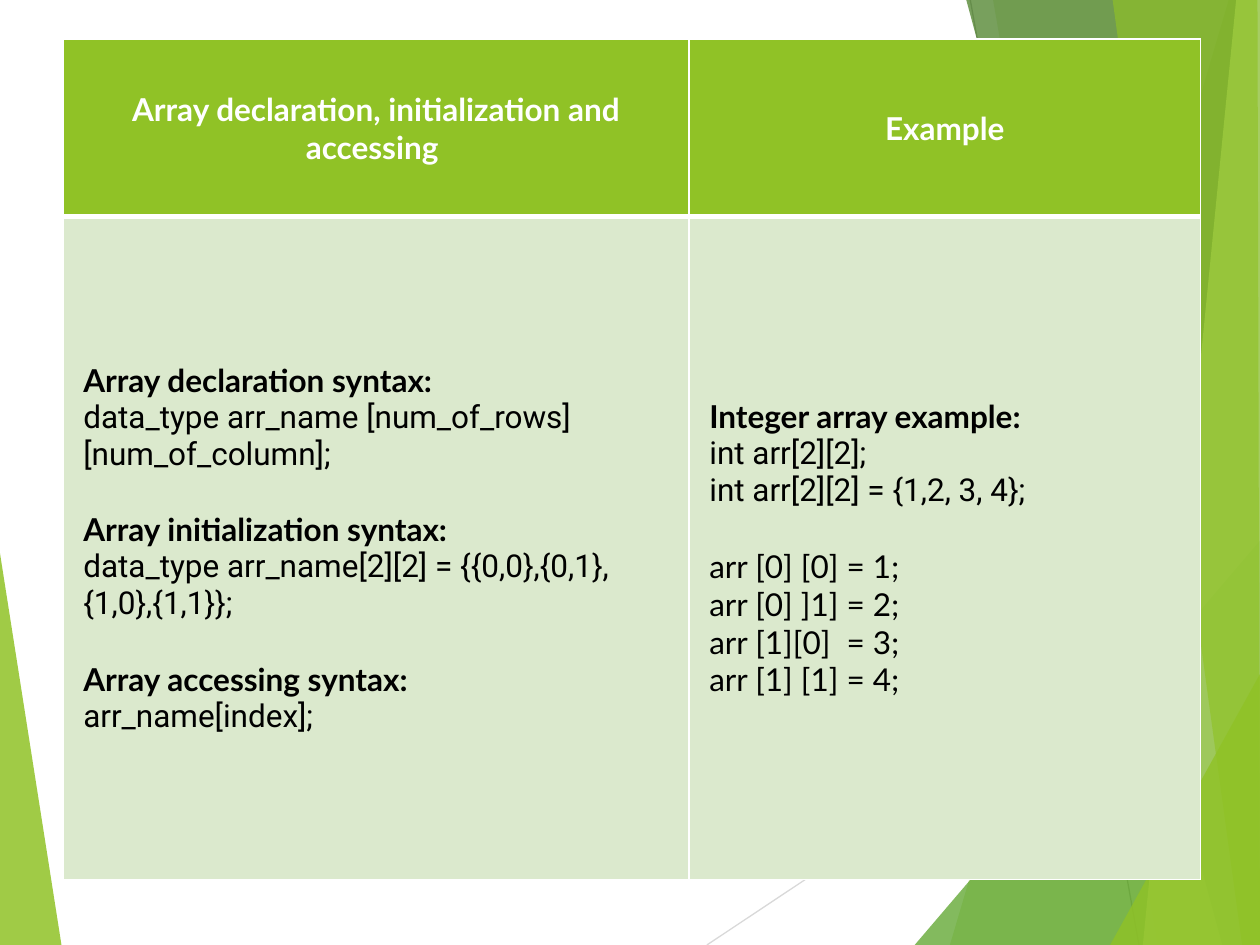
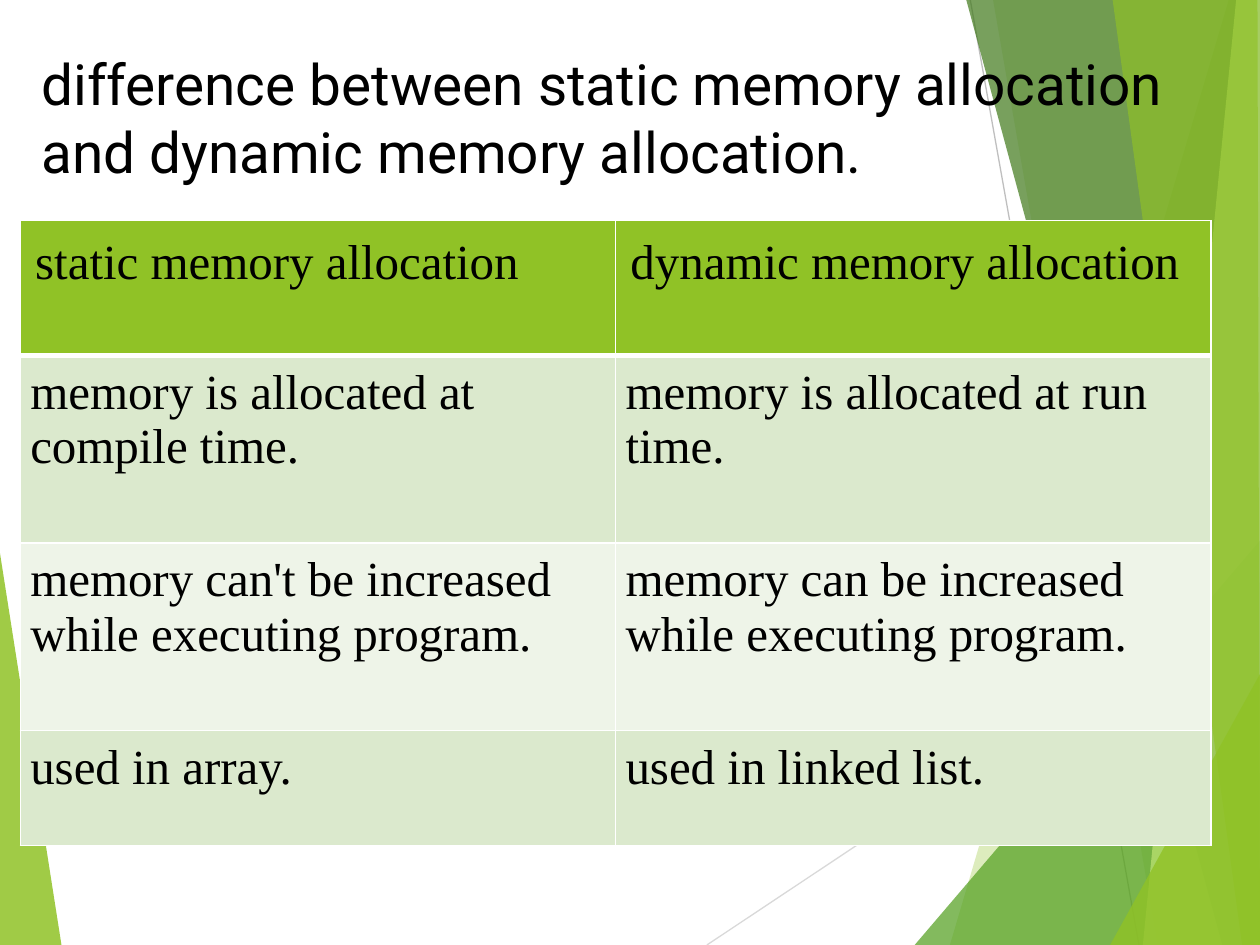
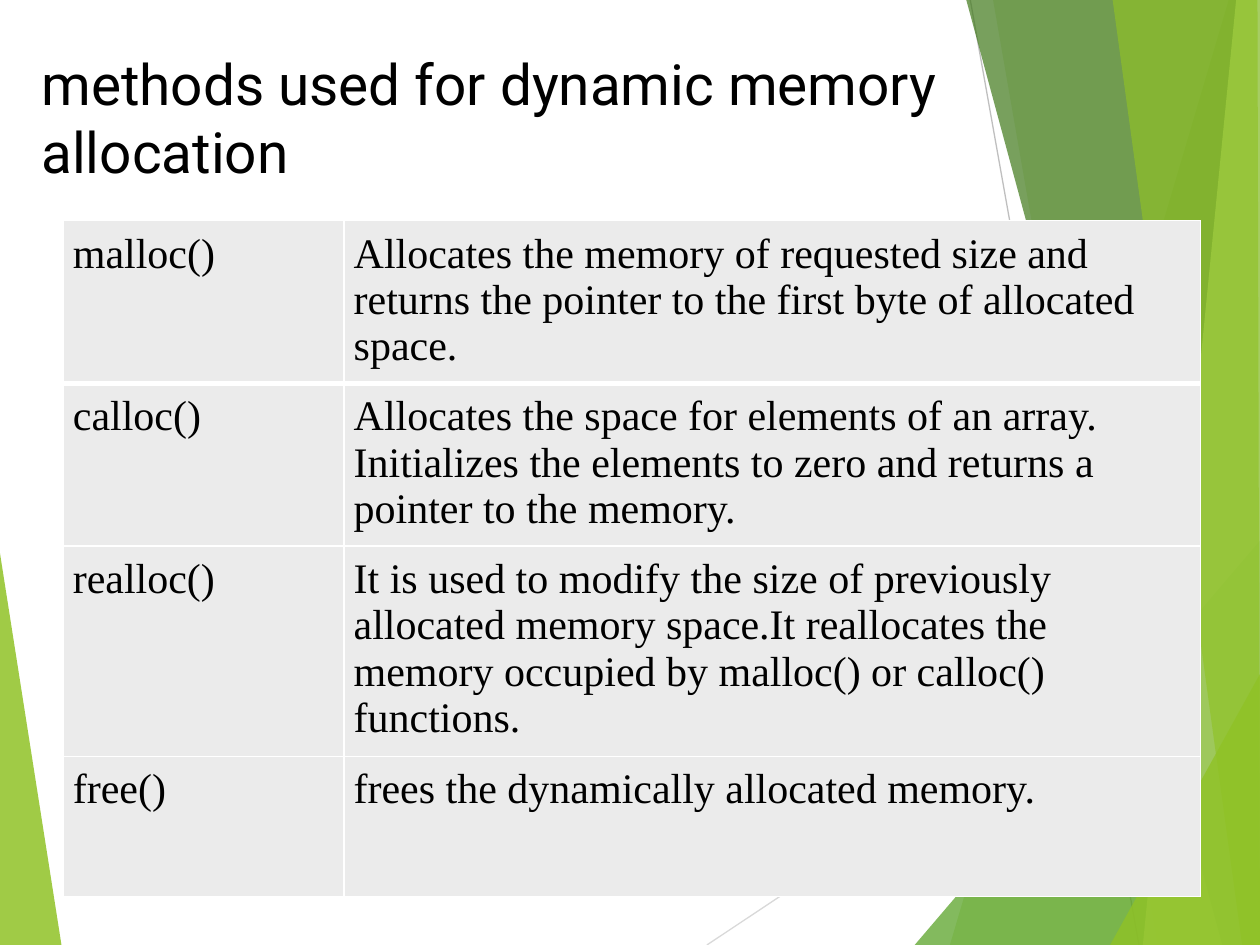
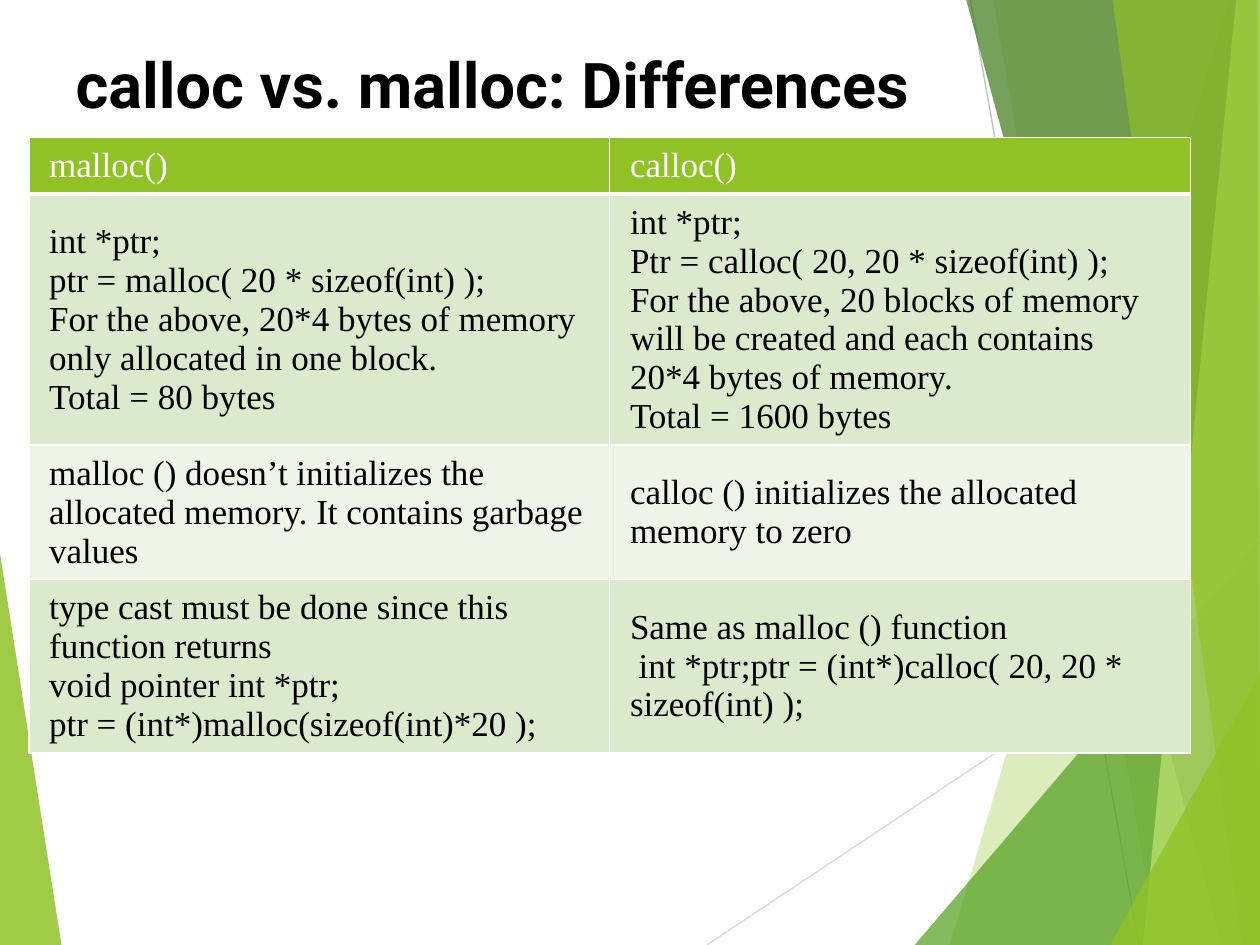
from dataclasses import dataclass
from typing import NamedTuple, Optional

from lxml.etree import SubElement
from pptx import Presentation
from pptx.dml.color import RGBColor
from pptx.enum.shapes import MSO_CONNECTOR as Conn
from pptx.enum.text import MSO_ANCHOR as Anchor, MSO_AUTO_SIZE as AutoSize, PP_ALIGN as Align
from pptx.oxml.ns import qn
from pptx.util import Cm, Pt

W, H = 25.4, 19.05
LATO, ROBOTO, TIMES = "Lato", "Roboto", "Times New Roman"
WHITE, BLACK, GREEN = "FFFFFF", "000000", "90C226"
BAND_DARK, BAND_LIGHT, GREY = "DBE9CD", "EEF4E8", "EBEBEB"
BANDED = (GREEN, BAND_DARK, BAND_LIGHT, BAND_DARK)
TITLE_ONLY, BLANK = 5, 6


class Facet(NamedTuple):
    points: tuple
    color: str
    opacity: int


class Ray(NamedTuple):
    start: tuple
    end: tuple
    color: str


class Run(NamedTuple):
    text: str
    font: str
    bold: bool = False


class Para(NamedTuple):
    runs: tuple
    gap: float = 0
    align: Align = Align.LEFT


class Title(NamedTuple):
    text: str
    left: float
    width: float
    height: float
    size: float
    bold: bool = False


@dataclass
class Grid:
    left: float
    top: float
    height: float
    cols: tuple
    rows: tuple
    fills: tuple
    cells: tuple
    size: float
    header_color: str = BLACK
    inset: tuple = (0.2, 0.2)
    header_inset: tuple = (0.2, 0.2)
    anchor: Anchor = Anchor.TOP
    has_header: bool = True


@dataclass
class Page:
    grid: Grid
    title: Optional[Title] = None


def band(top_x: float, bottom_x: float) -> tuple:
    return (top_x, 0), (bottom_x, H), (W, H), (W, 0)


def wedge(bottom_x: float, right_y: float) -> tuple:
    return (bottom_x, H), (W, right_y), (W, H)


RAYS = (
    Ray((14.25, H), (W, 11.63), "D9D9D9"),
    Ray((19.56, 0), (22.96, H), "BFBFBF"),
)
FACETS = (
    Facet(((0, 11.15), (1.24, H), (0, H)), GREEN, 85),
    Facet(band(24.77, 19.15), GREEN, 30),
    Facet(band(20.02, 23.34), GREEN, 20),
    Facet(wedge(18.44, 10.9), "54A021", 72),
    Facet(band(19.48, 24.64), "3F7819", 70),
    Facet(band(24.92, 23.04), "C0E474", 70),
    Facet(((22.43, 0), (25.04, H), (W, H), (25.35, 0)), GREEN, 65),
    Facet(wedge(22.38, 13.59), GREEN, 80),
)


def plain(*texts: str) -> tuple:
    return tuple(Para((Run(text, TIMES),)) for text in texts)


def heading(text: str) -> tuple:
    return (Para((Run(text, LATO, True),), align=Align.CENTER),)


def syntax(label: str, code: str, gap: float = 21.6) -> Para:
    return Para((Run(label + "\n", LATO, True), Run(code, ROBOTO)), gap)


PAGES = (
    Page(Grid(
        1.27, 0.79, 16.92, (12.62, 10.31), (3.58, 13.36), (GREEN, BAND_DARK),
        (
            (heading("Array declaration, initialization and accessing "), heading("Example")),
            (
                (
                    syntax("Array declaration syntax:",
                           "data_type arr_name [num_of_rows][num_of_column];", 0),
                    syntax("Array initialization syntax:",
                           "data_type arr_name[2][2] = {{0,0},{0,1},{1,0},{1,1}};"),
                    syntax("Array accessing syntax:", "arr_name[index];"),
                ),
                (
                    Para((Run("Integer array example:", LATO, True),)),
                    Para((Run("int arr[2][2];\nint arr[2][2] = {1,2, 3, 4};", ROBOTO),)),
                    Para((Run("arr [0] [0] = 1;\narr [0] ]1] = 2;\n"
                              "arr [1][0]  = 3;\narr [1] [1] = 4;", LATO),), 21.6),
                ),
            ),
        ),
        18, WHITE, (0.41, 0.18), (0.41, 0.18), Anchor.MIDDLE,
    )),
    Page(
        Grid(
            0.41, 4.45, 12.9, (12, 12), (2.72, 3.78, 3.78, 2.31), BANDED,
            (
                (plain("static memory allocation"), plain("dynamic memory allocation")),
                (plain("memory is allocated at compile time."),
                 plain("memory is allocated at run time.")),
                (plain("memory can't be increased while executing program."),
                 plain("memory can be increased while executing program.")),
                (plain("used in array."), plain("used in linked list.")),
            ),
            28, header_inset=(0.3, 0.3),
        ),
        Title("difference between static memory allocation and dynamic memory allocation.",
              0.58, 23.62, 3.18, 32.4),
    ),
    Page(
        Grid(
            1.27, 4.45, 14.25, (5.66, 17.27), (3.28, 3.28, 4.24, 2.82), (GREY,) * 4,
            (
                (plain("malloc()"),
                 plain("Allocates the memory of requested size and returns the pointer "
                       "to the first byte of allocated space.")),
                (plain("calloc()"),
                 plain("Allocates the space for elements of an array. Initializes the "
                       "elements to zero and returns a pointer to the memory.")),
                (plain("realloc()"),
                 plain("It is used to modify the size of previously allocated memory "
                       "space.It reallocates the memory occupied by malloc() or calloc() "
                       "functions.")),
                (plain("free()"), plain("frees the dynamically allocated memory.")),
            ),
            24, has_header=False,
        ),
        Title("methods used for dynamic memory allocation", 0.58, 23.62, 3.18, 32.4),
    ),
    Page(
        Grid(
            0.58, 2.77, 13.34, (11.71, 11.71), (1.04,) * 4, BANDED,
            (
                (plain("malloc()"), plain("calloc()")),
                (plain("int *ptr;", "ptr = malloc( 20 * sizeof(int) );",
                       "For the above, 20*4 bytes of memory only allocated in one block.\n"
                       "Total = 80 bytes"),
                 plain("int *ptr;", "Ptr = calloc( 20, 20 * sizeof(int) );",
                       "For the above, 20 blocks of memory will be created and each "
                       "contains 20*4 bytes of memory.\nTotal = 1600 bytes")),
                (plain("malloc () doesn’t initializes the allocated memory. "
                       "It contains garbage values"),
                 plain("calloc () initializes the allocated memory to zero")),
                (plain("type cast must be done since this function returns",
                       "void pointer int *ptr;", "ptr = (int*)malloc(sizeof(int)*20 );"),
                 plain("Same as malloc () function",
                       " int *ptr;ptr = (int*)calloc( 20, 20 * sizeof(int) );")),
            ),
            20, WHITE, (0.41, 0.18), (0.41, 0.18), Anchor.MIDDLE,
        ),
        Title("calloc vs. malloc: Differences", 1.27, 22.73, 1.83, 36, True),
    ),
)


def rgb(color: str) -> RGBColor:
    return RGBColor.from_string(color)


def style_run(r, font: str, size: float, color: str, bold: bool) -> None:
    r.font.name = font
    r.font.size = Pt(size)
    r.font.bold = bold
    r.font.color.rgb = rgb(color)


def draw_facet(s, facet: Facet):
    points = [(Cm(x), Cm(y)) for x, y in facet.points]
    builder = s.shapes.build_freeform(*points[0])
    builder.add_line_segments(points[1:], close=True)
    sp = builder.convert_to_shape()
    sp.shadow.inherit = False
    sp.fill.solid()
    sp.fill.fore_color.rgb = rgb(facet.color)
    color = sp.element.spPr.find(qn("a:solidFill"))[0]
    SubElement(color, qn("a:alpha")).set("val", str(facet.opacity * 1000))
    sp.line.fill.background()
    return sp


def draw_ray(s, ray: Ray):
    cx = s.shapes.add_connector(Conn.STRAIGHT, *map(Cm, ray.start + ray.end))
    cx.line.color.rgb = rgb(ray.color)
    cx.line.width = Pt(0.75)
    SubElement(cx.element.spPr, qn("a:effectLst"))
    return cx


def draw_backdrop(prs, s) -> None:
    leaf, *right_facets = FACETS
    shapes = [draw_facet(s, leaf)]
    shapes += [draw_ray(s, ray) for ray in RAYS]
    shapes += [draw_facet(s, facet) for facet in right_facets]
    tree = prs.slide_master.shapes.element
    for i, sp in enumerate(shapes, 2):
        tree.insert(i, sp.element)
    for i, props in enumerate(tree.iter(qn("p:cNvPr")), 1):
        props.set("id", str(i))


def draw_title(s, title: Title) -> None:
    sp = s.shapes.title
    sp.left, sp.top = Cm(title.left), Cm(0.76)
    sp.width, sp.height = Cm(title.width), Cm(title.height)
    tf = sp.text_frame
    tf.word_wrap = True
    tf.auto_size = AutoSize.NONE
    tf.vertical_anchor = Anchor.MIDDLE
    p = tf.paragraphs[0]
    p.alignment = Align.LEFT
    r = p.add_run()
    r.text = title.text
    style_run(r, ROBOTO, title.size, BLACK, title.bold)


def write_paras(tf, paras: tuple, size: float, color: str) -> None:
    for i, para in enumerate(paras):
        p = tf.add_paragraph() if i else tf.paragraphs[0]
        p.alignment = para.align
        p.space_before = Pt(para.gap)
        for run in para.runs:
            for j, line in enumerate(run.text.split("\n")):
                if j:
                    p.add_line_break()
                if line:
                    r = p.add_run()
                    r.text = line
                    style_run(r, run.font, size, color, run.bold)


def set_borders(cell, bottom: float) -> None:
    props = cell._tc.get_or_add_tcPr()
    for side, width in (("L", 1), ("R", 1), ("T", 1), ("B", bottom)):
        ln = SubElement(props, qn("a:ln" + side), w=str(Pt(width)))
        SubElement(SubElement(ln, qn("a:solidFill")), qn("a:srgbClr"), val=WHITE)


def draw_grid(s, grid: Grid) -> None:
    frame = s.shapes.add_table(len(grid.rows), len(grid.cols), Cm(grid.left), Cm(grid.top),
                               Cm(sum(grid.cols)), Cm(grid.height))
    table = frame.table
    table.first_row = grid.has_header
    table.horz_banding = False
    for col, width in zip(table.columns, grid.cols):
        col.width = Cm(width)
    for i, (row, height) in enumerate(zip(table.rows, grid.rows)):
        row.height = Cm(height)
        side, edge = map(Cm, grid.inset if i else grid.header_inset)
        color = BLACK if i else grid.header_color
        for cell, paras in zip(row.cells, grid.cells[i]):
            set_borders(cell, 1 if i else 3)
            cell.fill.solid()
            cell.fill.fore_color.rgb = rgb(grid.fills[i])
            cell.margin_left = cell.margin_right = side
            cell.margin_top = cell.margin_bottom = edge
            cell.vertical_anchor = grid.anchor
            write_paras(cell.text_frame, paras, grid.size, color)
    frame.height = Cm(grid.height)


def main() -> None:
    prs = Presentation()
    prs.slide_width, prs.slide_height = Cm(W), Cm(H)
    for i, page in enumerate(PAGES):
        s = prs.slides.add_slide(prs.slide_layouts[TITLE_ONLY if page.title else BLANK])
        if i == 0:
            draw_backdrop(prs, s)
        if page.title:
            draw_title(s, page.title)
        draw_grid(s, page.grid)
    prs.save("out.pptx")


if __name__ == "__main__":
    main()
